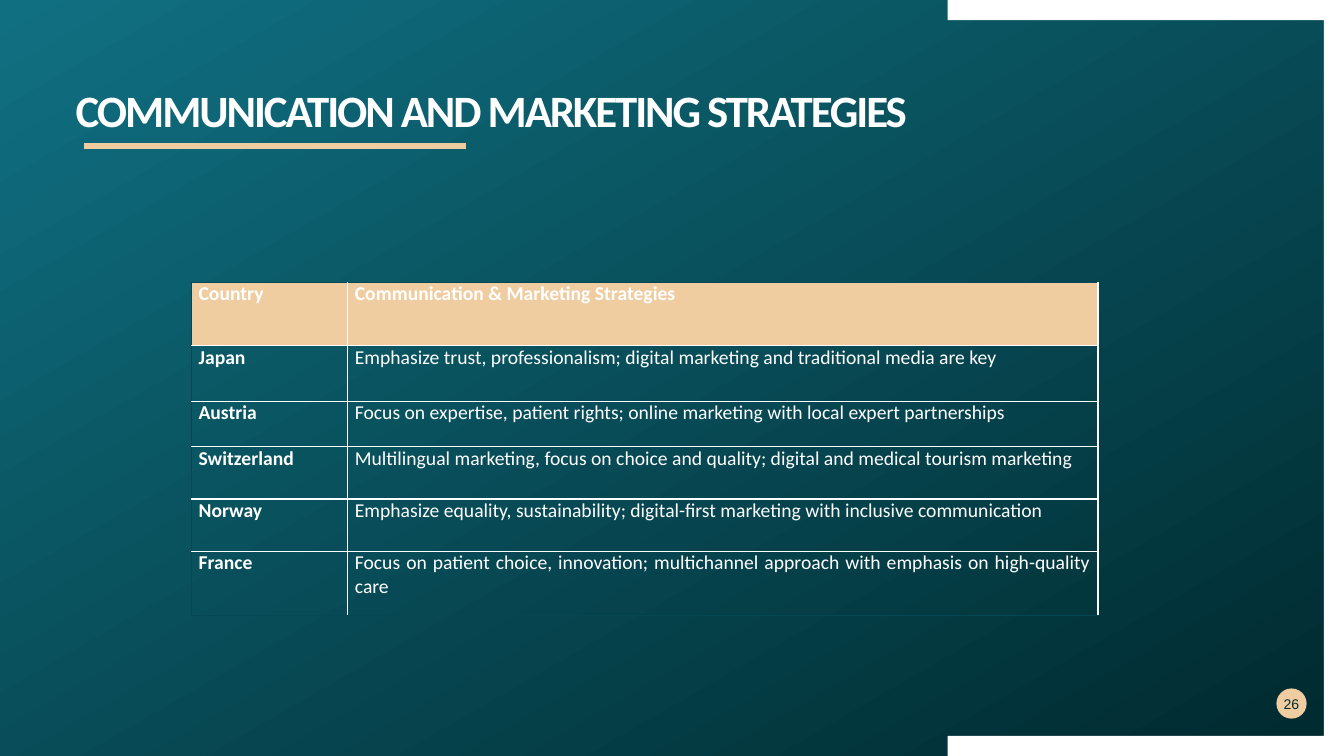
from typing import NamedTuple

from lxml import etree
from pptx import Presentation
from pptx.dml.color import RGBColor
from pptx.enum.shapes import MSO_CONNECTOR, MSO_SHAPE
from pptx.enum.text import MSO_ANCHOR, MSO_AUTO_SIZE, PP_ALIGN
from pptx.oxml.ns import qn
from pptx.util import Inches, Pt

RECTANGLE = MSO_SHAPE.RECTANGLE
OVAL = MSO_SHAPE.OVAL
STRAIGHT = MSO_CONNECTOR.STRAIGHT
TOP, MIDDLE = MSO_ANCHOR.TOP, MSO_ANCHOR.MIDDLE
LEFT, CENTER, JUSTIFY = PP_ALIGN.LEFT, PP_ALIGN.CENTER, PP_ALIGN.JUSTIFY

WHITE, SAND = "FFFFFF", "F0CDA1"
DARK, TEAL, EDGE = "00292E", "107082", "054854"
SLIDE_WIDTH, SLIDE_HEIGHT = 13.33, 7.5


class Strategy(NamedTuple):
    country: str
    text: str
    height: float


class Border(NamedTuple):
    tag: str
    color: str
    width: float


STRATEGIES = [
    Strategy("Country", "Communication & Marketing Strategies", 0.63),
    Strategy("Japan", "Emphasize trust, professionalism; digital marketing "
             "and traditional media are key", 0.55),
    Strategy("Austria", "Focus on expertise, patient rights; online marketing "
             "with local expert partnerships", 0.45),
    Strategy("Switzerland", "Multilingual marketing, focus on choice and quality; "
             "digital and medical tourism marketing", 0.52),
    Strategy("Norway", "Emphasize equality, sustainability; digital-first marketing "
             "with inclusive communication", 0.52),
    Strategy("France", "Focus on patient choice, innovation; multichannel approach "
             "with emphasis on high-quality care", 0.64),
]
COLUMN_WIDTHS = [1.55, 7.44]


def rgb(color: str) -> RGBColor:
    return RGBColor.from_string(color)


def add_run(paragraph, text: str, size: float, color: str, font: str = "Calibri",
            bold: bool = False):
    run = paragraph.add_run()
    run.text = text
    run.font.name = font
    run.font.size = Pt(size)
    run.font.bold = bold
    run.font.color.rgb = rgb(color)
    return run


def fill_plain(shape, color: str) -> None:
    shape.shadow.inherit = False
    shape.fill.solid()
    shape.fill.fore_color.rgb = rgb(color)
    shape.line.fill.background()


def clear_margins(frame) -> None:
    frame.margin_left = frame.margin_right = 0
    frame.margin_top = frame.margin_bottom = 0


def add_backdrop(slide) -> None:
    panel = slide.shapes.add_shape(RECTANGLE, 0, 0, Inches(SLIDE_WIDTH), Inches(SLIDE_HEIGHT))
    panel.shadow.inherit = False
    panel.line.fill.background()
    panel.fill.gradient()
    panel.fill.gradient_angle = 120
    for stop, color, position in zip(panel.fill.gradient_stops, (DARK, TEAL), (0, 1)):
        stop.color.rgb = rgb(color)
        stop.position = position

    # White bracket along the top, right and bottom edges
    left, thickness = 9.4, 0.2
    inner_right, inner_bottom = SLIDE_WIDTH - thickness, SLIDE_HEIGHT - thickness
    corners = [(SLIDE_WIDTH, 0), (SLIDE_WIDTH, SLIDE_HEIGHT), (left, SLIDE_HEIGHT),
               (left, inner_bottom), (inner_right, inner_bottom),
               (inner_right, thickness), (left, thickness)]
    builder = slide.shapes.build_freeform(Inches(left), 0)
    builder.add_line_segments([(Inches(x), Inches(y)) for x, y in corners], close=True)
    fill_plain(builder.convert_to_shape(), WHITE)


def add_page_number(slide, number: str) -> None:
    badge = slide.shapes.add_shape(OVAL, Inches(12.66), Inches(6.83), Inches(0.3), Inches(0.3))
    fill_plain(badge, SAND)
    frame = badge.text_frame
    clear_margins(frame)
    frame.word_wrap = False
    frame.vertical_anchor = MIDDLE
    frame.paragraphs[0].alignment = CENTER
    add_run(frame.paragraphs[0], number, 10, DARK, font="Arial")


def format_title(slide, text: str) -> None:
    title = slide.shapes.title
    title.left, title.top = Inches(0.75), Inches(0.88)
    title.width, title.height = Inches(11.45), Inches(0.4)
    frame = title.text_frame
    clear_margins(frame)
    frame.word_wrap = True
    frame.auto_size = MSO_AUTO_SIZE.NONE
    frame.vertical_anchor = TOP
    paragraph = frame.paragraphs[0]
    paragraph.alignment = LEFT
    paragraph.line_spacing = 0.9
    run = add_run(paragraph, text, 32, WHITE, bold=True)
    run.font._element.set("spc", "-150")
    # Bring the title in front of the backdrop
    slide.shapes._spTree.append(title._element)

    underline = slide.shapes.add_connector(
        STRAIGHT, Inches(0.83), Inches(1.45), Inches(4.62), Inches(1.45))
    underline.line.color.rgb = rgb(SAND)
    underline.line.width = Pt(4.32)
    etree.SubElement(underline._element.spPr, qn("a:effectLst"))


def set_borders(cell, borders: list[Border]) -> None:
    properties = cell._tc.get_or_add_tcPr()
    for index, border in enumerate(borders):
        line = etree.Element(qn(f"a:{border.tag}"), w=str(Pt(border.width)))
        fill = etree.SubElement(line, qn("a:solidFill"))
        etree.SubElement(fill, qn("a:srgbClr"), val=border.color)
        properties.insert(index, line)


def add_strategy_table(slide) -> None:
    frame = slide.shapes.add_table(
        len(STRATEGIES), len(COLUMN_WIDTHS), Inches(1.9), Inches(2.8),
        Inches(sum(COLUMN_WIDTHS)), Inches(sum(item.height for item in STRATEGIES)))
    table = frame.table
    table.horz_banding = False
    for column, width in zip(table.columns, COLUMN_WIDTHS):
        column.width = Inches(width)

    last_row = len(STRATEGIES) - 1
    for row, strategy in enumerate(STRATEGIES):
        table.rows[row].height = Inches(strategy.height)
        for column, text in enumerate((strategy.country, strategy.text)):
            cell = table.cell(row, column)
            cell.margin_left = cell.margin_right = Inches(0.07)
            cell.margin_top = cell.margin_bottom = 0
            cell.vertical_anchor = TOP
            if row == 0:
                cell.fill.solid()
                cell.fill.fore_color.rgb = rgb(SAND)
            else:
                cell.fill.background()
            paragraph = cell.text_frame.paragraphs[0]
            paragraph.alignment = JUSTIFY
            add_run(paragraph, text, 14, WHITE, bold=row == 0 or column == 0)

            # Thin dark outer edges, white rules elsewhere
            outer = {"lnL": column == 0, "lnR": False, "lnT": row == 0, "lnB": row == last_row}
            set_borders(cell, [Border(tag, EDGE, 0.5) if is_outer else Border(tag, WHITE, 1)
                               for tag, is_outer in outer.items()])


def main() -> None:
    presentation = Presentation()
    presentation.slide_width = Inches(SLIDE_WIDTH)
    presentation.slide_height = Inches(SLIDE_HEIGHT)
    title_only = presentation.slide_layouts[5]
    slide = presentation.slides.add_slide(title_only)

    add_backdrop(slide)
    add_page_number(slide, "26")
    format_title(slide, "COMMUNICATION AND MARKETING STRATEGIES")
    add_strategy_table(slide)
    presentation.save("out.pptx")


if __name__ == "__main__":
    main()
